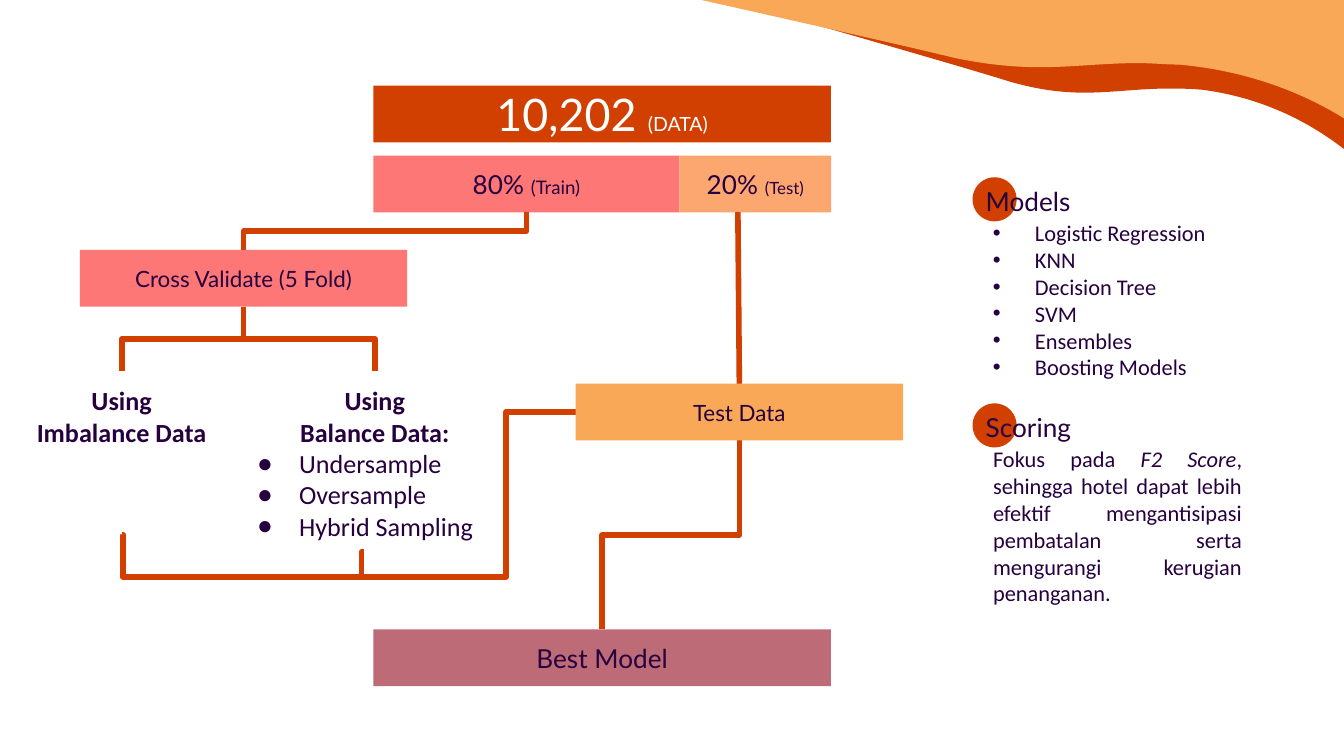
"""Build the modelling workflow slide with its data split, validation and scoring."""
from dataclasses import dataclass

from lxml.etree import SubElement
from pptx import Presentation
from pptx.dml.color import RGBColor
from pptx.enum.shapes import MSO_CONNECTOR, MSO_SHAPE
from pptx.enum.text import MSO_ANCHOR, PP_ALIGN
from pptx.oxml.ns import qn
from pptx.util import Pt

COLORS = {
    "rust": "D14000", "orange": "F9A858", "peach": "FDA770", "coral": "FE7777",
    "mauve": "BD6B77", "ink": "26003F", "white": "FFFFFF",
}
INSET = 7.2
BAR_HEIGHT = 30.4
BULLET_INDENT = 22.5


@dataclass(frozen=True)
class Run:
    text: str
    size: float | None = None
    italic: bool | None = None


@dataclass(frozen=True)
class Line:
    runs: tuple[Run, ...]
    size: float | None = None
    font: str = "Calibri"
    color: str = "ink"
    bold: bool = False
    align: PP_ALIGN = PP_ALIGN.LEFT
    bullet: str = ""


@dataclass(frozen=True)
class Bar:
    left: float
    top: float
    width: float
    fill: str
    runs: tuple[Run, ...]
    color: str = "ink"
    inset: float = INSET


@dataclass(frozen=True)
class Elbow:
    start: tuple[float, float]
    end: tuple[float, float]
    bend: float = 0.5
    vertical: bool = False


@dataclass(frozen=True)
class Wave:
    fill: str
    start: tuple[float, float]
    curves: tuple[tuple[float, ...], ...]
    corner: tuple[float, float]


@dataclass(frozen=True)
class Section:
    heading: str
    top: float
    width: float
    lines: tuple[Line, ...]


WAVES = (
    Wave("rust", (720, 79.9), (
        (703.4, 67, 678.2, 52.6, 644.4, 48.2), (637.9, 47.5, 631.4, 47.5, 625.7, 47.5),
        (609.8, 47.5, 596.2, 49.7, 581, 49.7), (568.8, 49.7, 556.6, 48.2, 541.4, 43.9),
        (514.1, 35.3, 425.5, 10.1, 425.5, 10.1)), (720, 10.1)),
    Wave("orange", (720, 63.4), (
        (701.3, 51.8, 671.8, 38.2, 631.4, 34.6), (624.2, 34.6, 617, 33.8, 609.8, 33.8),
        (591.8, 33.8, 574.6, 36, 557.3, 36), (542.9, 36, 528.5, 34.6, 511.2, 31),
        (478.8, 23, 375.8, 0, 375.8, 0)), (720, 0)),
)
TEST_DATA = Bar(308.4, 205.6, 175.4, "orange", (Run("Test Data", 12),))
BARS = (
    Bar(200, 45.9, 245.2, "rust", (Run("10,202 ", 24), Run("(DATA)", 10.5)), "white", 0),
    Bar(200, 83.4, 164, "coral", (Run("80% ", 14), Run("(Train)", 10))),
    Bar(364, 83.4, 81.2, "peach", (Run("20% ", 14), Run("(Test)", 9))),
    Bar(42.8, 133.9, 175.4, "coral", (Run("Cross Validate (5 Fold)", 12),)),
    Bar(200, 337.2, 245.2, "mauve", (Run("Best Model", 14),)),
)
JUNCTION = (121.8, 309)
ELBOWS = (
    Elbow((282.1, 113.7), (130.5, 133.9), vertical=True),
    Elbow((130.5, 164.3), (65.2, 198.8), vertical=True),
    Elbow((130.5, 164.3), (201, 198.8), vertical=True),
    Elbow((396.1, 236), (322.6, 337.2), vertical=True),
    Elbow(JUNCTION, (308.4, 220.7), 0.8),
    Elbow(JUNCTION, (65.2, 286.4), 0.99),
    Elbow(JUNCTION, (195.1, 295.6), 0.98),
)


def color_of(name: str) -> RGBColor:
    return RGBColor.from_string(COLORS[name])


def paint(shape, fill: str) -> None:
    shape.shadow.inherit = False
    shape.fill.solid()
    shape.fill.fore_color.rgb = color_of(fill)
    shape.line.fill.background()


def write_lines(shape, lines: tuple[Line, ...], anchor: MSO_ANCHOR, inset: float = INSET) -> None:
    frame = shape.text_frame
    frame.word_wrap = True
    frame.vertical_anchor = anchor
    frame.margin_left = frame.margin_right = frame.margin_top = frame.margin_bottom = Pt(inset)
    for index, line in enumerate(lines):
        paragraph = frame.add_paragraph() if index else frame.paragraphs[0]
        paragraph.alignment = line.align
        if line.bullet:
            properties = paragraph._p.get_or_add_pPr()
            properties.set("marL", str(Pt(BULLET_INDENT)))
            properties.set("indent", str(-Pt(BULLET_INDENT)))
            tint = SubElement(properties, qn("a:buClr"))
            SubElement(tint, qn("a:srgbClr"), val=COLORS["ink"])
            SubElement(properties, qn("a:buFont"), typeface="Arial")
            SubElement(properties, qn("a:buChar"), char=line.bullet)
        font = paragraph.font
        font.name, font.bold = line.font, line.bold
        font.color.rgb = color_of(line.color)
        if line.size:
            font.size = Pt(line.size)
        for item in line.runs:
            run = paragraph.add_run()
            run.text = item.text
            if item.size:
                run.font.size = Pt(item.size)
            if item.italic:
                run.font.italic = True


def add_text(slide, left: float, top: float, width: float, height: float,
             lines: tuple[Line, ...], anchor: MSO_ANCHOR = MSO_ANCHOR.TOP) -> None:
    box = slide.shapes.add_textbox(Pt(left), Pt(top), Pt(width), Pt(height))
    write_lines(box, lines, anchor)


def add_wave(slide, wave: Wave) -> None:
    ends = [(Pt(curve[4]), Pt(curve[5])) for curve in wave.curves]
    corner = Pt(wave.corner[0]), Pt(wave.corner[1])
    builder = slide.shapes.build_freeform(Pt(wave.start[0]), Pt(wave.start[1]))
    builder.add_line_segments(ends + [corner], close=True)
    shape = builder.convert_to_shape()
    paint(shape, wave.fill)
    segments = list(shape._element.iter(qn("a:lnTo")))
    for segment, curve in zip(segments, wave.curves):
        segment.tag = qn("a:cubicBezTo")
        segment.remove(segment[0])
        for x, y in zip(curve[::2], curve[1::2]):
            SubElement(segment, qn("a:pt"), x=str(Pt(x) - shape.left), y=str(Pt(y) - shape.top))


def add_bar(slide, bar: Bar):
    shape = slide.shapes.add_shape(MSO_SHAPE.RECTANGLE, Pt(bar.left), Pt(bar.top),
                                   Pt(bar.width), Pt(BAR_HEIGHT))
    paint(shape, bar.fill)
    line = Line(bar.runs, font="Lato", color=bar.color, align=PP_ALIGN.CENTER)
    write_lines(shape, (line,), MSO_ANCHOR.MIDDLE, bar.inset)
    return shape


def add_line(slide, kind: MSO_CONNECTOR, start: tuple[float, float], end: tuple[float, float]):
    connector = slide.shapes.add_connector(kind, *(Pt(value) for value in (*start, *end)))
    connector.line.color.rgb = color_of("rust")
    connector.line.width = Pt(3)
    SubElement(connector._element.spPr, qn("a:effectLst"))
    return connector


def add_elbow(slide, elbow: Elbow) -> None:
    (x1, y1), (x2, y2) = start, end = elbow.start, elbow.end
    if elbow.vertical:
        middle_x, middle_y = (x1 + x2) / 2, (y1 + y2) / 2
        half_x, half_y = (x2 - x1) / 2, (y2 - y1) / 2
        start = middle_x - half_y, middle_y + half_x
        end = middle_x + half_y, middle_y - half_x
    connector = add_line(slide, MSO_CONNECTOR.ELBOW, start, end)
    properties = connector._element.spPr
    if elbow.vertical:
        properties.find(qn("a:xfrm")).set("rot", str(90 * 60000))
    adjustments = properties.find(qn("a:prstGeom")).find(qn("a:avLst"))
    SubElement(adjustments, qn("a:gd"), name="adj1", fmla=f"val {round(elbow.bend * 100000)}")


def add_section(slide, section: Section) -> None:
    dot = slide.shapes.add_shape(MSO_SHAPE.OVAL, Pt(521), Pt(section.top), Pt(23.6), Pt(23.6))
    paint(dot, "rust")
    heading = Line((Run(section.heading),), 14, "Lato")
    add_text(slide, 521, section.top + 2.3, 91, 26, (heading,), MSO_ANCHOR.BOTTOM)
    add_text(slide, 524.9, section.top + 15.2, section.width, 45, section.lines)


def main() -> None:
    presentation = Presentation()
    presentation.slide_width, presentation.slide_height = Pt(720), Pt(405)
    slide = presentation.slides.add_slide(presentation.slide_layouts[6])
    for wave in WAVES:
        add_wave(slide, wave)
    for bar in BARS:
        add_bar(slide, bar)
    for elbow in ELBOWS:
        add_elbow(slide, elbow)
    test_line = add_line(slide, MSO_CONNECTOR.STRAIGHT, (395.3, 113.7), (396.1, 205.6))
    test_line.end_connect(add_bar(slide, TEST_DATA), 0)

    imbalance, balance = (
        tuple(Line((Run(text),), 14, bold=True, align=PP_ALIGN.CENTER) for text in ("Using", what))
        for what in ("Imbalance Data", "Balance Data:"))
    samplings = tuple(Line((Run(text),), 14, bullet="●")
                      for text in ("Undersample", "Oversample", "Hybrid Sampling"))
    add_text(slide, 0, 198.9, 130.4, 45, imbalance)
    add_text(slide, 130.6, 198.9, 140.4, 45, balance + samplings)

    models = ("Logistic Regression", "KNN", "Decision Tree", "SVM", "Ensembles", "Boosting Models")
    focus = (Run("Fokus pada "), Run("F2 Score", italic=True),
             Run(", sehingga hotel dapat lebih efektif mengantisipasi pembatalan serta "
                 "mengurangi kerugian penanganan."))
    add_section(slide, Section("Models", 95, 164, tuple(
        Line((Run(model),), 12, bullet="•") for model in models)))
    add_section(slide, Section("Scoring", 216.1, 147.6, (
        Line(focus, 12, align=PP_ALIGN.JUSTIFY),)))
    presentation.save("out.pptx")


if __name__ == "__main__":
    main()
